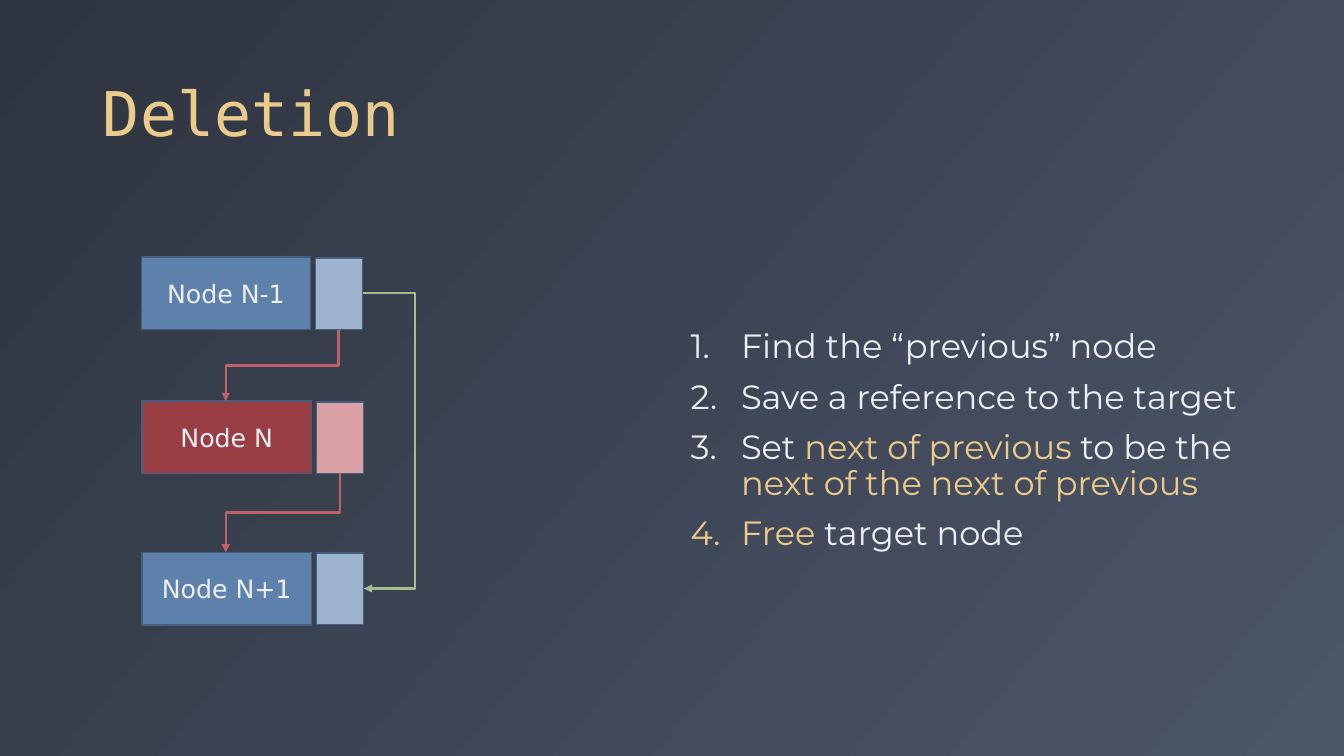
from lxml import etree
from pptx import Presentation
from pptx import util as u
from pptx.dml.color import RGBColor
from pptx.enum import shapes, text
from pptx.oxml import ns

COLORS = {
    "dark": "2E3440", "slate": "4C5669", "white": "ECEFF3", "gold": "EBCB8B",
    "blue": "5E81AC", "pale_blue": "9EB3CD", "red": "9A3E46", "pale_red": "D9A0A5",
    "border": "465F7F", "old_link": "BF6169", "new_link": "A3BE8C",
}


def rgb(name):
    return RGBColor.from_string(COLORS[name])


def write(p, content, font="Montserrat", size=24, color="white"):
    r = p.add_run()
    r.text = content
    r.font.name = font
    r.font.size = u.Pt(size)
    r.font.color.rgb = rgb(color)


prs = Presentation()
prs.slide_width, prs.slide_height = u.Cm(33.87), u.Cm(19.05)
s = prs.slides.add_slide(prs.slide_layouts[1])

bg = s.background.fill
bg.gradient()
bg.gradient_angle = 320
for stop, name in zip(bg.gradient_stops, ("dark", "slate")):
    stop.color.rgb = rgb(name)

title, body = s.shapes.title, s.placeholders[1]
for sp, box, anchor in (
    (title, (2.34, 0.46, 29.21, 3.45), text.MSO_ANCHOR.BOTTOM),
    (body, (17.15, 5.08, 14.4, 12.09), text.MSO_ANCHOR.MIDDLE),
):
    sp.left, sp.top, sp.width, sp.height = map(u.Cm, box)
    sp.text_frame.word_wrap = True
    sp.text_frame.auto_size = text.MSO_AUTO_SIZE.NONE
    sp.text_frame.vertical_anchor = anchor

p = title.text_frame.paragraphs[0]
p.alignment = text.PP_ALIGN.LEFT
p.line_spacing = 0.9
write(p, "Deletion", font="DejaVu Sans Mono", size=44, color="gold")

nodes = [
    ("Node N-1", 3.56, 6.48, "blue", "pale_blue"),
    ("Node N", 3.58, 10.11, "red", "pale_red"),
    ("Node N+1", 3.58, 13.92, "blue", "pale_blue"),
]
for label, left, top, fill, pointer_fill in nodes:
    for x, y, width, height, color, content in (
        (left, top, 4.27, 1.83, fill, label),
        (left + 4.39, top + 0.02, 1.19, 1.8, pointer_fill, ""),
    ):
        sp = s.shapes.add_shape(shapes.MSO_SHAPE.RECTANGLE, u.Cm(x), u.Cm(y), u.Cm(width), u.Cm(height))
        sp.shadow.inherit = False
        sp.fill.solid()
        sp.fill.fore_color.rgb = rgb(color)
        sp.line.color.rgb = rgb("border")
        sp.line.width = u.Pt(1)
        if content:
            sp.text_frame.vertical_anchor = text.MSO_ANCHOR.MIDDLE
            p = sp.text_frame.paragraphs[0]
            p.alignment = text.PP_ALIGN.CENTER
            write(p, content, font="DejaVu Sans", size=18)

links = [
    (8.53, 8.31, 5.69, 10.11, "old_link"),
    (8.56, 11.91, 5.69, 13.92, "old_link"),
    (9.14, 7.39, 9.17, 14.83, "new_link"),
]
for x1, y1, x2, y2, color in links:
    downward = color == "old_link"
    if downward:
        cx, cy = (x1 + x2) / 2, (y1 + y2) / 2
        half_w, half_h = (y2 - y1) / 2, (x1 - x2) / 2
        x1, y1, x2, y2 = cx - half_w, cy - half_h, cx + half_w, cy + half_h
    link = s.shapes.add_connector(shapes.MSO_CONNECTOR.ELBOW, u.Cm(x1), u.Cm(y1), u.Cm(x2), u.Cm(y2))
    link.line.color.rgb = rgb(color)
    link.line.width = u.Pt(1.5)
    props = link._element.spPr
    etree.SubElement(props.find(ns.qn("a:ln")), ns.qn("a:tailEnd"), type="triangle")
    etree.SubElement(props, ns.qn("a:effectLst"))
    if downward:
        props.find(ns.qn("a:xfrm")).set("rot", "5400000")
    else:
        guides = props.find(ns.qn("a:prstGeom")).find(ns.qn("a:avLst"))
        etree.SubElement(guides, ns.qn("a:gd"), name="adj1", fmla="val 4400000")

steps = [
    [("Find the “previous” node", "white")],
    [("Save a reference to the target", "white")],
    [("Set ", "white"), ("next of previous", "gold"), (" to be the ", "white"),
     ("next of the next of previous", "gold")],
    [("Free ", "gold"), ("target node", "white")],
]
tf = body.text_frame
for i, step in enumerate(steps):
    p = tf.add_paragraph() if i else tf.paragraphs[0]
    pPr = p._p.get_or_add_pPr()
    pPr.set("marL", str(u.Cm(1.27)))
    pPr.set("indent", str(u.Cm(-1.27)))
    etree.SubElement(pPr, ns.qn("a:buFont"), typeface="+mj-lt")
    etree.SubElement(pPr, ns.qn("a:buAutoNum"), type="arabicPeriod")
    p.line_spacing = 0.9
    p.space_before = u.Pt(10 if i else 0)
    for content, color in step:
        write(p, content, color=color)

prs.save("out.pptx")
